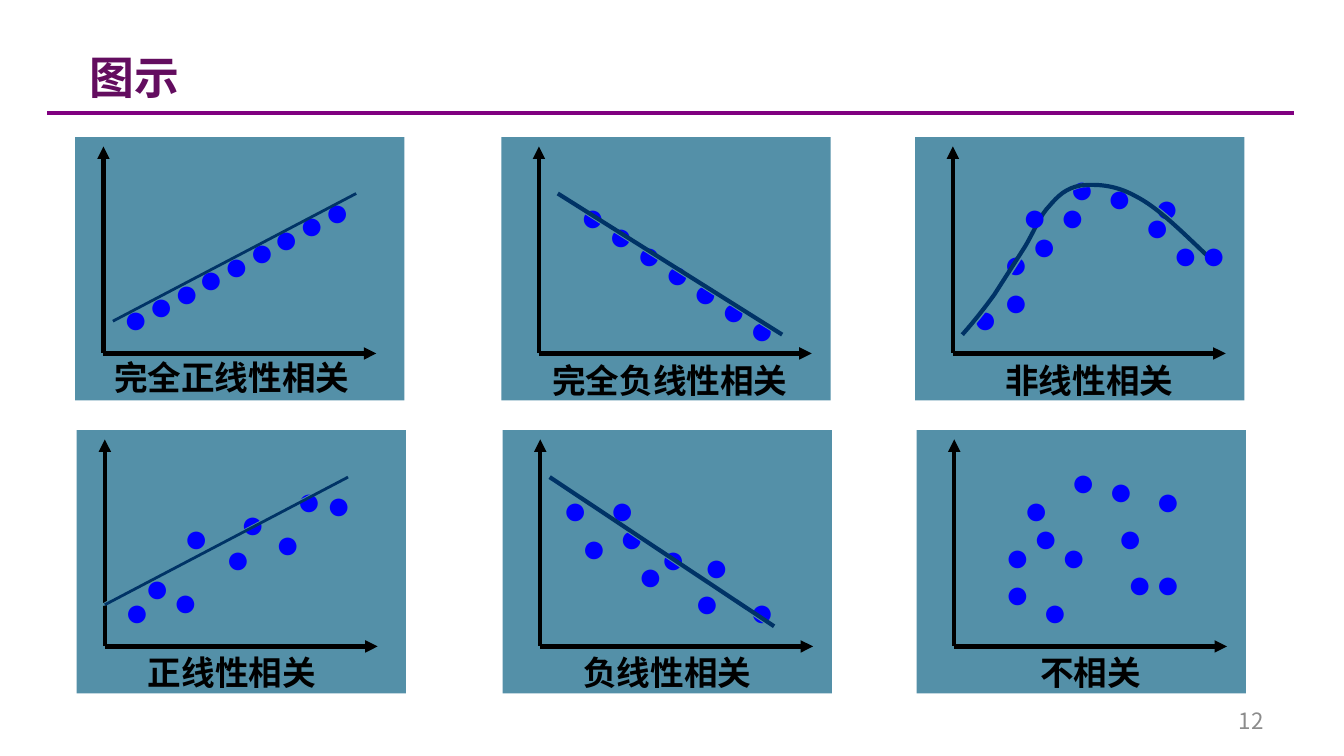
from dataclasses import dataclass

from lxml.etree import SubElement
from pptx import Presentation
from pptx.dml.color import RGBColor
from pptx.enum.shapes import MSO_CONNECTOR, MSO_SHAPE
from pptx.enum.text import MSO_ANCHOR, PP_ALIGN
from pptx.oxml.ns import qn
from pptx.util import Pt

PX = 9144


@dataclass(frozen=True)
class Theme:
    """Colours, fonts and sizes of the slide."""
    panel: str = "5490A8"
    axis: str = "000000"
    trend: str = "003366"
    rule: str = "800080"
    line: float = 2.25
    thin: float = 1.5
    title = dict(name="Noto Sans CJK SC", size=24, bold=True, color="630D5F")
    number = dict(name="Noto Sans CJK SC", size=12, bold=False, color="8C8C8C")
    caption = dict(name="Calibri", size=18, bold=True, color="000000")
    dot = dict(name="Times New Roman", size=22, bold=False, color="0000FF")


T = Theme()
PANEL_W, PANEL_H = 245, 196
AXIS_W, AXIS_H, AXIS_TOP = 203, 154, 7
DOT_W, DOT_H = 37, 39

PANELS = [
    dict(at=(56, 102), axis=21, caption=("完全正线性相关", 71, 261, 203),
         dots=[(82 + round(18.75 * i), 213 - 10 * i) for i in range(9)],
         trend=[(84, 239), (265, 144)], width=T.thin),
    dict(at=(373, 102), axis=28, caption=("完全负线性相关", 397, 263, 203),
         dots=[(422 + 21 * i, 137 + 14 * i) for i in range(7)],
         trend=[(415, 144), (582, 249)]),
    dict(at=(681, 102), axis=28, caption=("非线性相关", 723, 263, 175),
         dots=[(714, 213), (863, 165), (814, 123), (849, 130), (786, 116),
               (779, 137), (758, 158), (737, 200), (737, 172)],
         trend=[(716, 249), (724, 240), (732, 230), (740, 219), (747, 208),
                (756, 194), (763, 183), (770, 171), (774, 160), (781, 153),
                (787, 146), (793, 140), (804, 138), (815, 137), (829, 137),
                (845, 146), (861, 154), (879, 172), (898, 190)],
         front=[(842, 144), (884, 165), (751, 137)]),
    dict(at=(57, 320), axis=21, caption=("正线性相关", 85, 480, 175),
         dots=[(83, 431), (233, 351), (195, 380), (211, 348), (169, 365),
               (158, 391), (127, 376), (98, 413), (119, 423)],
         trend=[(78, 450), (259, 355)], width=T.thin),
    dict(at=(374, 320), axis=28, caption=("负线性相关", 409, 480, 175),
         dots=[(507, 424), (548, 431), (465, 404), (514, 397), (423, 383),
               (482, 391), (451, 376), (409, 355), (444, 355)],
         trend=[(409, 355), (576, 466)]),
    dict(at=(682, 320), axis=28, caption=("不相关", 724, 480, 175),
         dots=[(766, 431), (829, 410), (815, 341), (850, 348), (787, 334),
               (780, 390), (759, 376), (738, 417), (738, 390), (822, 376),
               (850, 410), (752, 355)]),
]


def px(*values):
    """Turn px lengths into EMU."""
    return [v * PX for v in values]


def add_text(shapes, text, box, style, align=PP_ALIGN.LEFT,
             anchor=MSO_ANCHOR.TOP, spacing=None):
    """Add a one-run text box."""
    tf = shapes.add_textbox(*px(*box)).text_frame
    for key, value in dict(word_wrap=True, vertical_anchor=anchor).items():
        setattr(tf, key, value)
    p = tf.paragraphs[0]
    p.alignment, p.line_spacing = align, spacing
    r = p.add_run()
    r.text = text
    font = dict(name=style["name"], size=Pt(style["size"]), bold=style["bold"])
    for key, value in font.items():
        setattr(r.font, key, value)
    r.font.color.rgb = RGBColor.from_string(style["color"])
    SubElement(r.font._element, qn("a:ea"), typeface=style["name"])


def style_line(sp, color, width, shadow=None, arrow=None):
    """Set the stroke, arrowhead and hard shadow of a line."""
    sp.line.color.rgb = RGBColor.from_string(color)
    sp.line.width = Pt(width)
    if arrow:
        SubElement(sp.line._get_or_add_ln(), qn("a:" + arrow), type="triangle")
    spPr = sp._element.spPr
    effects = SubElement(spPr, qn("a:effectLst"))
    if shadow:
        dist, angle = shadow
        outer = SubElement(effects, qn("a:outerShdw"), blurRad="0",
                           dist=str(Pt(dist)), dir=str(angle * 60000),
                           algn="ctr", rotWithShape="0")
        SubElement(outer, qn("a:srgbClr"), val=T.panel)


def add_line(shapes, start, end, color, width, shadow=None, arrow=None):
    """Add a straight line."""
    sp = shapes.add_connector(MSO_CONNECTOR.STRAIGHT, *px(*start, *end))
    style_line(sp, color, width, shadow, arrow)


def add_curve(shapes, points, color, width, shadow):
    """Add an open Bezier curve through a start and triples of points."""
    fb = shapes.build_freeform(*points[0], scale=PX)
    fb.add_line_segments(points[1:], close=False)
    sp = fb.convert_to_shape()
    sp.fill.background()
    outline = next(sp._element.iter(qn("a:path")))
    segments = outline.findall(qn("a:lnTo"))
    for i in range(0, len(segments), 3):
        bezier = SubElement(outline, qn("a:cubicBezTo"))
        for segment in segments[i:i + 3]:
            bezier.append(segment[0])
            outline.remove(segment)
    style_line(sp, color, width, shadow)


def add_dots(shapes, dots):
    """Add the scatter dots."""
    for x, y in dots:
        add_text(shapes, "●", (x, y, DOT_W, DOT_H), T.dot)


def add_panel(s, at, axis, caption, dots, trend=(), width=T.line, front=()):
    """Add one scatter diagram as a group."""
    shapes = s.shapes.add_group_shape().shapes
    x, y = at
    sp = shapes.add_shape(MSO_SHAPE.RECTANGLE, *px(x, y, PANEL_W, PANEL_H))
    sp.shadow.inherit = False
    sp.fill.solid()
    sp.fill.fore_color.rgb = RGBColor.from_string(T.panel)
    sp.line.fill.background()
    left, top = x + axis, y + AXIS_TOP
    base = top + AXIS_H
    add_line(shapes, (left, top), (left, base), T.axis, T.line, (1.4, 45), "headEnd")
    add_line(shapes, (left, base), (left + AXIS_W, base), T.axis, T.line,
             (1.4, 45), "tailEnd")
    add_dots(shapes, dots)
    if len(trend) == 2:
        add_line(shapes, *trend, T.trend, width, (1, 180))
    elif trend:
        add_curve(shapes, trend, T.trend, width, (1, 0))
    add_dots(shapes, front)
    text, cx, cy, cw = caption
    add_text(shapes, text, (cx, cy, cw, 34), T.caption, PP_ALIGN.CENTER)


def main():
    """Build the slide."""
    prs = Presentation()
    prs.slide_width = 1000 * PX
    prs.slide_height = prs.slide_width * 9 // 16
    s = prs.slides.add_slide(prs.slide_layouts[6])
    add_line(s.shapes, (35, 84), (963, 84), T.rule, T.line)
    for panel in PANELS:
        add_panel(s, **panel)
    add_text(s.shapes, "图示", (57, 17, 178, 60), T.title,
             anchor=MSO_ANCHOR.MIDDLE, spacing=1.5)
    add_text(s.shapes, "12", (717, 521, 233, 30), T.number, PP_ALIGN.RIGHT,
             MSO_ANCHOR.MIDDLE)
    prs.save("out.pptx")


if __name__ == "__main__":
    main()
